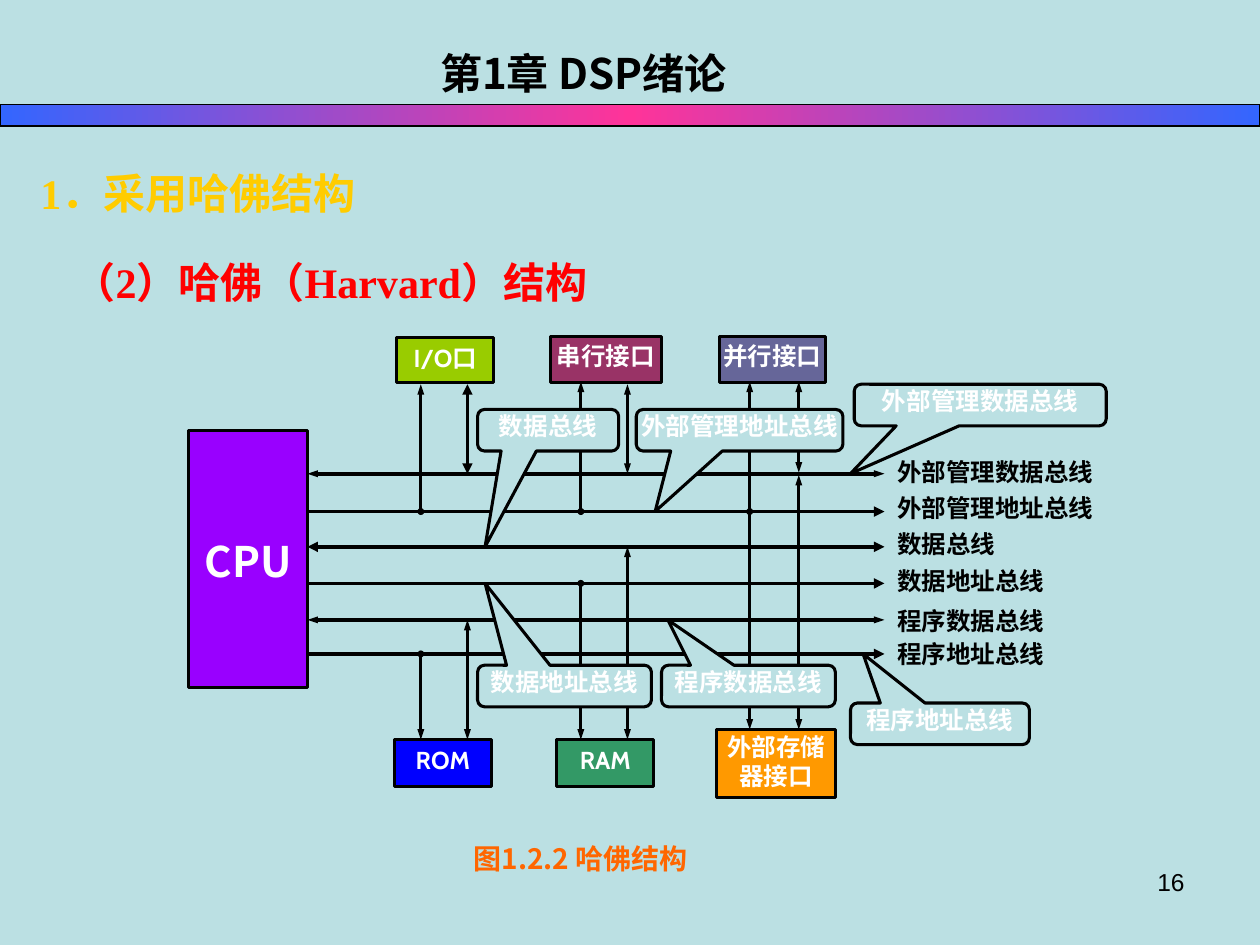
import copy

from lxml import etree
from pptx import Presentation
from pptx import util as u
from pptx.dml import color
from pptx.enum import shapes, text
from pptx.oxml import ns

SANS, SERIF, ROUND, ARIAL = "Noto Sans CJK SC", "Times New Roman", "Cabin", "Arial"
BLACK, WHITE, BACKGROUND = "000000", "FFFFFF", "BBE0E3"
LEFT, CENTER, RIGHT, JUSTIFY = (text.PP_ALIGN.LEFT, text.PP_ALIGN.CENTER,
                                text.PP_ALIGN.RIGHT, text.PP_ALIGN.JUSTIFY)
PLAIN_INSETS = (0.1, 0.05, 0.1, 0.05)
TIGHT_INSETS = (0.02, 0, 0.02, 0)
BUS_LEFT, BUS_RIGHT = 2.44, 7.02
CALLOUT_HEIGHT = 0.33
# Bus name, line height, label top, arrow at the CPU end, width of its arrowheads
BUSES = [
    ("外部管理数据总线", 3.76, 3.63, True, "sm"),
    ("外部管理地址总线", 4.06, 3.91, False, "med"),
    ("数据总线", 4.34, 4.20, True, "med"),
    ("数据地址总线", 4.63, 4.49, False, "med"),
    ("程序数据总线", 4.92, 4.81, True, "sm"),
    ("程序地址总线", 5.19, 5.07, False, "med"),
]


def rgb(value):
    return color.RGBColor.from_string(value)


def inches(box):
    return [u.Inches(length) for length in box]


def write(shape, paragraphs, align, insets):
    """Fill a shape with paragraphs, each a list of (words, size, font, colour, bold)."""
    frame = shape.text_frame
    frame.word_wrap = True
    frame.vertical_anchor = text.MSO_ANCHOR.TOP
    (frame.margin_left, frame.margin_top,
     frame.margin_right, frame.margin_bottom) = inches(insets)
    for index, spans in enumerate(paragraphs):
        para = frame.add_paragraph() if index else frame.paragraphs[0]
        para.alignment = align
        for words, size, font, ink, bold in spans:
            span = para.add_run()
            span.text = words
            span.font.size, span.font.bold = u.Pt(size), bold
            span.font.name = font
            span.font.color.rgb = rgb(ink)
            east = etree.SubElement(span.font._element, ns.qn("a:ea"))
            east.set("typeface", SANS)


def add_label(page, box, spans, align=LEFT, insets=PLAIN_INSETS):
    label = page.shapes.add_textbox(*inches(box))
    write(label, [spans], align, insets)
    return label


def add_outlined(page, kind, box, fill, width=1.75):
    shape = page.shapes.add_shape(kind, *inches(box))
    shape.shadow.inherit = False
    shape.fill.solid()
    shape.fill.fore_color.rgb = rgb(fill)
    shape.line.color.rgb = rgb(BLACK)
    shape.line.width = u.Pt(width)
    return shape


def add_block(page, box, fill, lines, font=SANS, size=14, top=0.04):
    block = add_outlined(page, shapes.MSO_SHAPE.RECTANGLE, box, fill)
    write(block, [[(line, size, font, WHITE, True)] for line in lines],
          CENTER, (0, top, 0, 0))


def add_wire(page, start, end, head=None, tail=None, width=1.75, tip="sm"):
    wire = page.shapes.add_connector(shapes.MSO_CONNECTOR.STRAIGHT,
                                     *inches(start + end))
    wire.line.color.rgb = rgb(BLACK)
    wire.line.width = u.Pt(width)
    outline = wire.line._get_or_add_ln()
    for tag, ending in (("a:headEnd", head), ("a:tailEnd", tail)):
        if ending:
            mark = etree.SubElement(outline, ns.qn(tag))
            mark.set("type", ending)
            mark.set("w", tip)
            mark.set("len", "sm" if ending == "oval" else "med")
    etree.SubElement(wire._element.spPr, ns.qn("a:effectLst"))


def add_band(page, box):
    band = add_outlined(page, shapes.MSO_SHAPE.RECTANGLE, box, BACKGROUND, 1)
    band.fill.gradient()
    band.fill.gradient_angle = 0
    first = band._element.spPr.find(".//" + ns.qn("a:gs"))
    first.addnext(copy.deepcopy(first))
    stops = zip(band.fill.gradient_stops, (0, 0.5, 1), ("3366FF", "FF3399", "3366FF"))
    for stop, position, ink in stops:
        stop.position = position
        stop.color.rgb = rgb(ink)


def add_headings(page):
    add_label(page, (2.67, 0.33, 3.92, 0.5),
              [("第1章 DSP绪论", 24, SANS, BLACK, True)], CENTER)
    add_label(page, (0, 1.17, 5.75, 0.64),
              [(" ", 32, SANS, BLACK, True),
               ("1．采用哈佛结构", 24, SERIF, "FFCC00", True)],
              insets=(0.22, 0.05, 0.1, 0.05))
    add_band(page, (0, 0.83, 10, 0.17))
    subtitle = add_label(page, (0, 1.83, 9.5, 0.66),
                         [(" ", 24, SERIF, "33CC33", True),
                          ("（2）哈佛（Harvard）结构", 24, SERIF, "FF0000", True)],
                         insets=(0.51, 0.05, 0.1, 0.05))
    subtitle.text_frame.paragraphs[0].line_spacing = 1.4


def add_blocks(page):
    add_block(page, (1.5, 3.42, 0.94, 2.04), "9900FF", ["CPU"], size=24, top=0.83)
    add_block(page, (3.15, 2.68, 0.77, 0.36), "99CC00", ["I/O口"], ROUND)
    add_block(page, (3.13, 5.87, 0.77, 0.37), "0000FF", ["ROM"], ROUND)
    add_block(page, (4.37, 2.67, 0.88, 0.37), "993366", ["串行接口"])
    add_block(page, (4.42, 5.87, 0.77, 0.37), "339966", ["RAM"], ROUND)
    add_block(page, (5.71, 2.67, 0.84, 0.37), "666699", ["并行接口"])
    add_block(page, (5.69, 5.79, 0.94, 0.54), "FF9900", ["外部存储", "器接口"], top=0.02)


def add_buses(page):
    for name, y, label_top, both_ways, tip in BUSES:
        add_wire(page, (BUS_LEFT, y), (BUS_RIGHT, y),
                 "triangle" if both_ways else None, "triangle", 2, tip)
        add_label(page, (7.1, label_top, 1.82, 0.29),
                  [(name, 14, SERIF, BLACK, True)], JUSTIFY, TIGHT_INSETS)


def add_branches(page):
    """Join each block to its buses: arrows on data lines, dots on address lines."""
    branches = [
        (3.71, 3.05, 3.76, "triangle", "med"),
        (3.71, 5.87, 4.92, "triangle", "sm"),
        (4.98, 3.05, 3.76, "triangle", "sm"),
        (4.98, 5.87, 4.34, "triangle", "sm"),
        (6.34, 3.03, 3.75, "triangle", "sm"),
        (6.34, 5.79, 3.77, "triangle", "sm"),
        (3.34, 5.87, 5.19, "oval", "sm"),
        (3.34, 3.05, 4.06, "oval", "sm"),
        (4.61, 5.87, 4.63, "oval", "sm"),
        (4.61, 3.03, 4.06, "oval", "sm"),
        (5.95, 5.79, 3.98, None, "sm"),
        (5.95, 3.03, 4.06, "oval", "sm"),
    ]
    for x, block_y, bus_y, joint, tip in branches:
        add_wire(page, (x, block_y), (x, bus_y), "triangle", joint, tip=tip)


def add_callouts(page):
    """Name each bus in a bubble that stands clear of the buses and points at its own."""
    # Left, top, width, x where the pointer meets the bus
    places = [
        (6.78, 3.05, 2, 6.75),
        (5.05, 3.25, 1.64, 5.2),
        (3.79, 3.25, 1.12, 3.85),
        (3.79, 5.28, 1.38, 3.85),
        (5.25, 5.28, 1.38, 5.3),
        (6.75, 5.58, 1.42, 6.85),
    ]
    for (name, bus_y, *_), (left, top, width, tip_x) in zip(BUSES, places):
        callout = add_outlined(page, shapes.MSO_SHAPE.ROUNDED_RECTANGULAR_CALLOUT,
                               (left, top, width, CALLOUT_HEIGHT), BACKGROUND)
        callout.adjustments[0] = (tip_x - left) / width - 0.5
        callout.adjustments[1] = (bus_y - top) / CALLOUT_HEIGHT - 0.5
        callout.adjustments[2] = 0.167
        write(callout, [[(name, 14, SERIF, WHITE, True)]], CENTER, TIGHT_INSETS)


def main():
    deck = Presentation()
    deck.slide_width, deck.slide_height = u.Inches(10), u.Inches(7.5)
    page = deck.slides.add_slide(deck.slide_layouts[6])
    page.background.fill.solid()
    page.background.fill.fore_color.rgb = rgb(BACKGROUND)
    add_headings(page)
    add_blocks(page)
    add_buses(page)
    add_branches(page)
    add_label(page, (3.74, 6.68, 2.56, 0.32),
              [("图", 16, SERIF, "FF6600", True),
               ("1.2.2 哈佛结构", 16, SANS, "FF6600", True)], JUSTIFY, TIGHT_INSETS)
    add_callouts(page)
    add_label(page, (7.17, 6.83, 2.33, 0.52), [("16", 14, ARIAL, BLACK, False)], RIGHT)
    deck.save("out.pptx")


if __name__ == "__main__":
    main()
